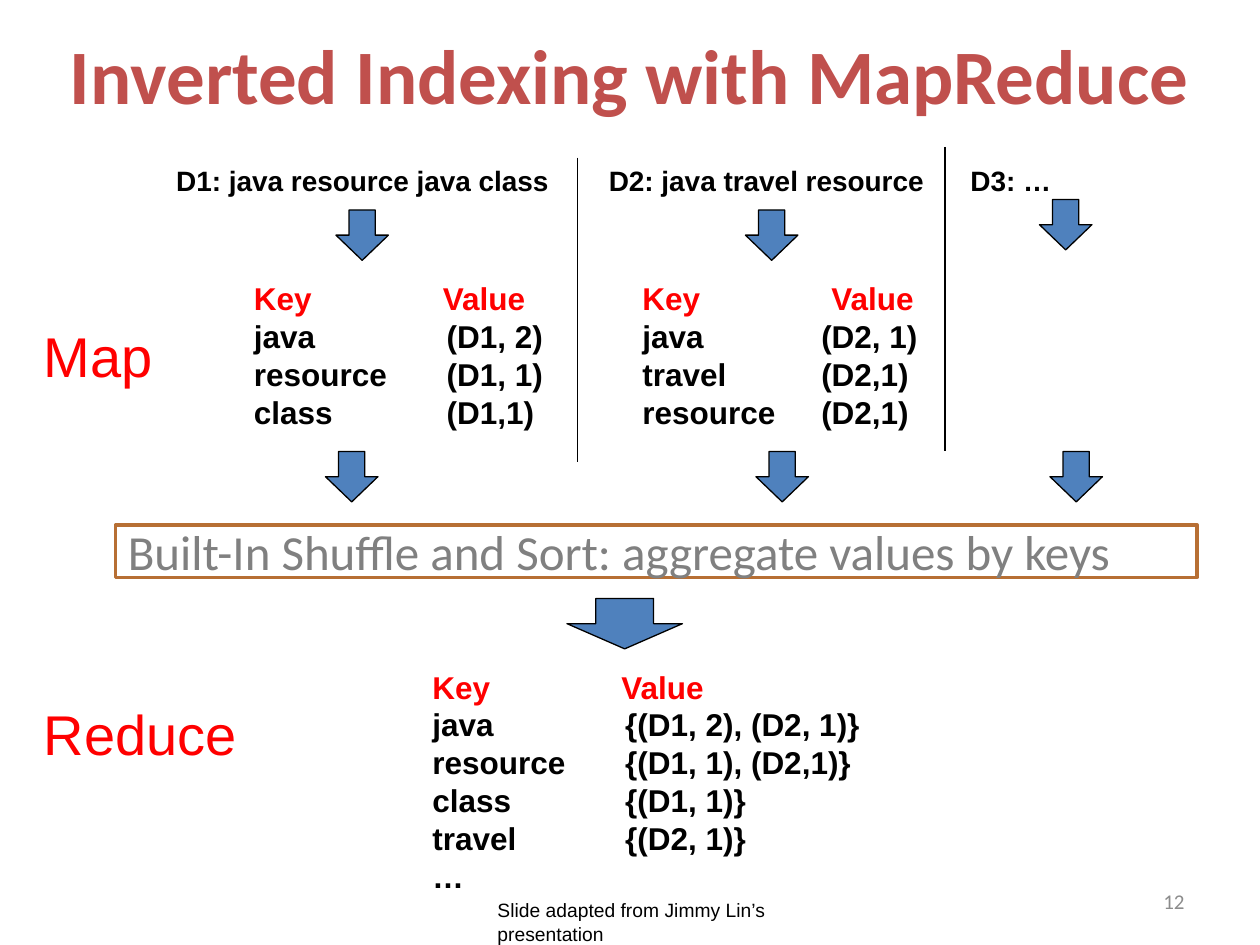
from lxml import etree
from pptx import Presentation
from pptx.dml.color import RGBColor
from pptx.enum.shapes import MSO_CONNECTOR, MSO_SHAPE
from pptx.enum.text import MSO_ANCHOR, PP_ALIGN
from pptx.oxml.ns import qn
from pptx.util import Inches, Pt

RED = RGBColor(0xFF, 0x00, 0x00)
BLACK = RGBColor(0x00, 0x00, 0x00)
BRICK = RGBColor(0xC0, 0x50, 0x4D)
BLUE = RGBColor(0x4F, 0x81, 0xBD)
BROWN = RGBColor(0xB7, 0x6F, 0x34)
GREY = RGBColor(0x80, 0x80, 0x80)
PALE_GREY = RGBColor(0x8C, 0x8C, 0x8C)
LEFT, CENTER, RIGHT = PP_ALIGN.LEFT, PP_ALIGN.CENTER, PP_ALIGN.RIGHT
MIDDLE, TOP = MSO_ANCHOR.MIDDLE, MSO_ANCHOR.TOP
DOWN_ARROW, RECTANGLE = MSO_SHAPE.DOWN_ARROW, MSO_SHAPE.RECTANGLE
STRAIGHT = MSO_CONNECTOR.STRAIGHT
TITLE_ONLY = 5

deck = Presentation()
deck.slide_width, deck.slide_height = Inches(10), Inches(7.5)
page = deck.slides.add_slide(deck.slide_layouts[TITLE_ONLY])


def grid(*cells):
    """Turn counts of grid cells (120 columns by 90 rows) into lengths."""
    return [int(deck.slide_width / 120 * count) for count in cells]


def write(box, lines, size, colors, font="Arial", bold=False, align=LEFT, anchor=TOP, tabs=()):
    """Fill box with one paragraph a line; the last colour and tab stop carry on."""
    frame = box.text_frame
    frame.word_wrap = True
    frame.vertical_anchor = anchor
    for index, line in enumerate(lines):
        para = frame.add_paragraph() if index else frame.paragraphs[0]
        para.alignment = align
        span = para.add_run()
        span.text = line
        look = {"name": font, "size": Pt(size), "bold": bold}
        for name, value in look.items():
            setattr(span.font, name, value)
        span.font.color.rgb = colors[min(index, len(colors) - 1)]
        if tabs:
            stops = etree.SubElement(para._p.get_or_add_pPr(), qn("a:tabLst"))
            stop = Inches(tabs[min(index, len(tabs) - 1)])
            etree.SubElement(stops, qn("a:tab"), pos=str(stop), algn="l")


# Title
title = page.shapes.title
title.left, title.top, title.width, title.height = grid(0, 0, 120, 14)
write(title, ["Inverted Indexing with MapReduce"], 44, [BRICK], "Calibri", True, CENTER, MIDDLE)

# Documents and the lines between them
documents = [
    (15.6, 38.4, "D1: java resource java class"),
    (56.8, 45.1, "D2: java travel resource\tD3: …"),
]
for column, width, text in documents:
    box = page.shapes.add_textbox(*grid(column, 15, width, 4.4))
    write(box, [text], 16, [BLACK], bold=True, tabs=[2.87])

for column, row in [(55, 15), (90, 14)]:
    divider = page.shapes.add_connector(STRAIGHT, *grid(column, row, column, row + 29))
    divider.line.color.rgb = BLACK
    divider.line.width = Pt(0.75)
    etree.SubElement(divider._element.spPr, qn("a:effectLst"))

# Stage names
for row, width, stage in [(30, 13.2, "Map"), (66, 21.8, "Reduce")]:
    box = page.shapes.add_textbox(*grid(3, row, width, 7.7))
    write(box, [stage], 32, [RED])

# Key and value lists
lists = [
    (23, 26, 31.9, [1.5, 1.53],
     ["java\t(D1, 2)", "resource\t(D1, 1)", "class\t(D1,1)"]),
    (60, 26, 30.5, [1.5, 1.42],
     ["java\t(D2, 1)", "travel\t(D2,1)", "resource\t(D2,1)"]),
    (40, 63, 45.1, [1.5, 1.53],
     ["java\t{(D1, 2), (D2, 1)}", "resource\t{(D1, 1), (D2,1)}",
      "class\t{(D1, 1)}", "travel\t{(D2, 1)}", "…"]),
]
for column, row, width, tabs, pairs in lists:
    box = page.shapes.add_textbox(*grid(column, row, width, 3.6 * (len(pairs) + 1) + 1.2))
    write(box, ["Key\tValue"] + pairs, 18, [RED, BLACK], bold=True, tabs=tabs)

# Shuffle and sort bar
bar = page.shapes.add_shape(RECTANGLE, *grid(11, 50, 103, 5))
bar.shadow.inherit = False
bar.fill.background()
bar.line.color.rgb = BROWN
bar.line.width = Pt(2)
write(bar, ["Built-In Shuffle and Sort: aggregate values by keys"], 28, [GREY], "Calibri",
      anchor=MIDDLE)

# Flow arrows: into the mappers, into the shuffle, into the reducer
arrows = [
    (32, 20, 5), (71, 20, 5), (99, 19, 5),
    (31, 43, 5), (72, 43, 5), (100, 43, 5),
    (54, 57, 11),
]
for column, row, width in arrows:
    arrow = page.shapes.add_shape(DOWN_ARROW, *grid(column, row, width, 4.8))
    arrow.shadow.inherit = False
    arrow.fill.solid()
    arrow.fill.fore_color.rgb = BLUE
    arrow.line.color.rgb = BLACK
    arrow.line.width = Pt(0.75)

# Footer
credit = page.shapes.add_textbox(*grid(46.2, 85, 35.8, 3.5))
write(credit, ["Slide adapted from Jimmy Lin’s presentation"], 11, [BLACK])
number = page.shapes.add_textbox(*grid(86, 83.4, 28, 4.8))
write(number, ["12"], 12, [PALE_GREY], "Calibri", align=RIGHT, anchor=MIDDLE)

deck.save("out.pptx")
